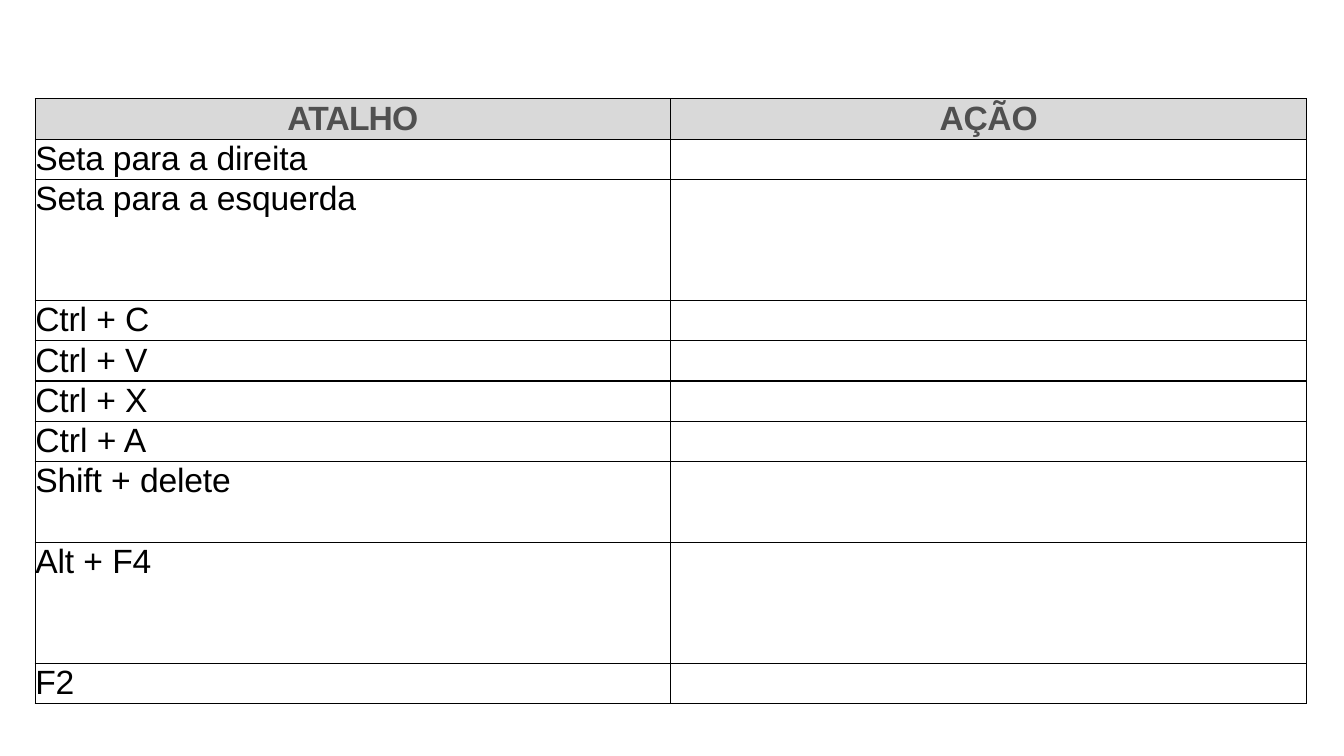
from dataclasses import dataclass

from lxml.etree import SubElement
from pptx import Presentation
from pptx.dml.color import RGBColor
from pptx.enum.text import PP_ALIGN as Align
from pptx.oxml.ns import qn
from pptx.table import Table, _Cell as Cell
from pptx.util import Inches, Pt


@dataclass(frozen=True)
class Theme:
    font: str = "Arial"
    size: float = 24
    leading: float = 27.4
    border_width: float = 1
    ink: str = "000000"
    heading: str = "505050"
    heading_fill: str = "D9D9D9"


@dataclass(frozen=True)
class Span:
    text: str
    spacing: float = -0.1


@dataclass(frozen=True)
class Shortcut:
    spans: tuple[Span, ...]
    lines: int = 1


THEME = Theme()
ROW_HEIGHT = 0.4
COLUMN_WIDTHS = (6.3, 6.31)
HEADINGS = (Span("ATALHO", -0.6), Span("AÇÃO", -0.2))
PLUS = Span("+ ", 0)
CTRL = Span("Ctrl ")
SHORTCUTS = (
    Shortcut((Span("Seta para a direita"),)),
    Shortcut((Span("Seta para "), Span("a ", 0), Span("esquerda")), 3),
    Shortcut((CTRL, PLUS, Span("C"))),
    Shortcut((CTRL, Span("+ V", 0))),
    Shortcut((CTRL, Span("+ X", 0))),
    Shortcut((Span("Ctrl + A", 0),)),
    Shortcut((Span("Shift "), PLUS, Span("delete")), 2),
    Shortcut((Span("Alt "), PLUS, Span("F4")), 3),
    Shortcut((Span("F2"),)),
)


def style_cell(cell: Cell, fill: str | None = None) -> None:
    cell.margin_left = cell.margin_right = cell.margin_top = cell.margin_bottom = 0
    properties = cell._tc.get_or_add_tcPr()
    for side in ("lnL", "lnR", "lnT", "lnB"):
        border = SubElement(properties, qn(f"a:{side}"), w=str(Pt(THEME.border_width)))
        paint = SubElement(border, qn("a:solidFill"))
        SubElement(paint, qn("a:srgbClr"), val=THEME.ink)
    if fill:
        cell.fill.solid()
        cell.fill.fore_color.rgb = RGBColor.from_string(fill)
    else:
        cell.fill.background()


def write_cell(cell: Cell, spans: tuple[Span, ...], color: str, bold: bool, align: Align) -> None:
    para = cell.text_frame.paragraphs[0]
    para.alignment = align
    para.line_spacing = Pt(THEME.leading)
    for span in spans:
        run = para.add_run()
        run.text = span.text
        run.font.name = THEME.font
        run.font.size = Pt(THEME.size)
        run.font.bold = bold
        run.font.color.rgb = RGBColor.from_string(color)
        run._r.get_or_add_rPr().set("spc", str(round(span.spacing * 100)))


def fill_table(table: Table) -> None:
    table.first_row = table.horz_banding = False
    for column, width in zip(table.columns, COLUMN_WIDTHS):
        column.width = Inches(width)
    table.rows[0].height = Inches(ROW_HEIGHT)
    for index, heading in enumerate(HEADINGS):
        cell = table.cell(0, index)
        style_cell(cell, THEME.heading_fill)
        write_cell(cell, (heading,), THEME.heading, True, Align.CENTER)
    for index, shortcut in enumerate(SHORTCUTS, start=1):
        table.rows[index].height = Inches(ROW_HEIGHT * shortcut.lines)
        name, action = table.cell(index, 0), table.cell(index, 1)
        style_cell(name)
        style_cell(action)
        write_cell(name, shortcut.spans, THEME.ink, False, Align.LEFT)


def main() -> None:
    deck = Presentation()
    deck.slide_width, deck.slide_height = Inches(13.33), Inches(7.5)
    page = deck.slides.add_slide(deck.slide_layouts[6])
    row_units = 1 + sum(shortcut.lines for shortcut in SHORTCUTS)
    frame = page.shapes.add_table(
        len(SHORTCUTS) + 1, len(COLUMN_WIDTHS), Inches(0.35), Inches(0.98),
        Inches(sum(COLUMN_WIDTHS)), Inches(ROW_HEIGHT * row_units),
    )
    fill_table(frame.table)
    deck.save("out.pptx")


if __name__ == "__main__":
    main()
